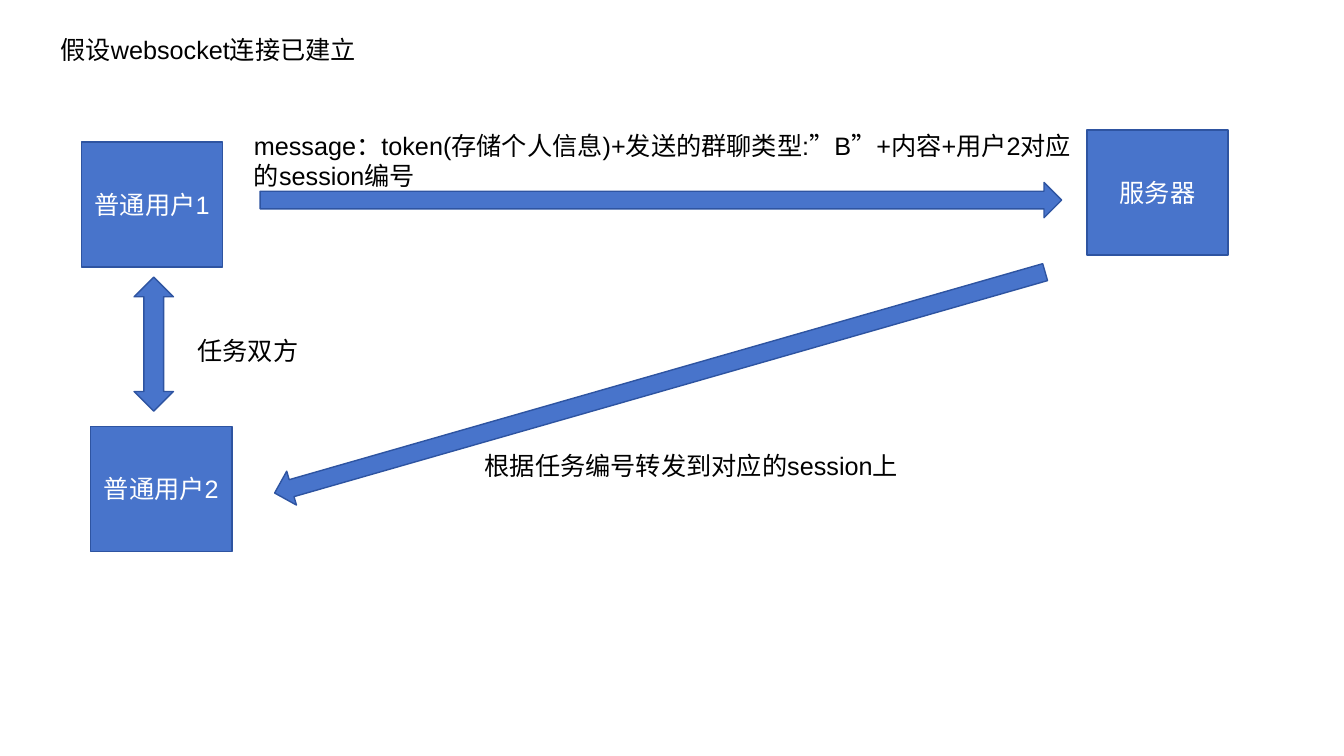
from pptx import Presentation
from pptx.dml.color import RGBColor
from pptx.enum.shapes import MSO_SHAPE
from pptx.enum.text import MSO_ANCHOR, MSO_AUTO_SIZE, PP_ALIGN
from pptx.util import Emu, Pt

RECTANGLE = MSO_SHAPE.RECTANGLE
RIGHT_ARROW = MSO_SHAPE.RIGHT_ARROW
UP_DOWN_ARROW = MSO_SHAPE.UP_DOWN_ARROW
TOP, MIDDLE = MSO_ANCHOR.TOP, MSO_ANCHOR.MIDDLE
LEFT, CENTER = PP_ALIGN.LEFT, PP_ALIGN.CENTER
NO_AUTOFIT = MSO_AUTO_SIZE.NONE

EMU_PER_PX = 9144
SLIDE_SIZE = (1333, 750)
FONT, FONT_SIZE = "Arial", 18
BLUE, DARK_BLUE, WHITE, BLACK = "4874CB", "2E54A1", "FFFFFF", "000000"

HEADING = ("假设websocket连接已建立", (50, 29, 444, 40))
NODE_SIZE = (140, 124)
NODES = [
    ("普通用户1", (81, 141)),
    ("普通用户2", (90, 423)),
    ("服务器", (1078, 129)),
]
MESSAGE_ARROW_SIZE = (795, 35)
ARROWS = [
    (RIGHT_ARROW, (258, 181), MESSAGE_ARROW_SIZE, 0),
    (UP_DOWN_ARROW, (133, 275), (39, 133), 0),
    (RIGHT_ARROW, (257, 362), MESSAGE_ARROW_SIZE, 164),
]
LABELS = [
    ("message：token(存储个人信息)+发送的群聊类型:”B”+内容+用户2对应的session编号",
     (242, 124, 846, 71)),
    ("任务双方", (186, 328, 134, 40)),
    ("根据任务编号转发到对应的session上", (471, 442, 463, 40)),
]


def px(length):
    """Turn a length in px into EMU."""
    return Emu(length * EMU_PER_PX)


def rgb(hex_color):
    """Turn a hex string into a colour."""
    return RGBColor.from_string(hex_color)


def write(shape, wording, color, align, anchor):
    """Write one formatted run into a shape."""
    frame = shape.text_frame
    frame.word_wrap = True
    frame.auto_size = NO_AUTOFIT
    frame.vertical_anchor = anchor
    paragraph = frame.paragraphs[0]
    paragraph.alignment = align
    run = paragraph.add_run()
    run.text = wording
    run.font.name = FONT
    run.font.size = Pt(FONT_SIZE)
    run.font.color.rgb = rgb(color)


def add_block(slide, preset, position, size, rotation=0):
    """Add a blue outlined shape."""
    block = slide.shapes.add_shape(preset, *map(px, position + size))
    block.rotation = rotation
    block.shadow.inherit = False
    block.fill.solid()
    block.fill.fore_color.rgb = rgb(BLUE)
    block.line.color.rgb = rgb(DARK_BLUE)
    block.line.width = Pt(1)
    return block


def main():
    """Build the message flow slide and save it."""
    deck = Presentation()
    deck.slide_width, deck.slide_height = map(px, SLIDE_SIZE)
    slide = deck.slides.add_slide(deck.slide_layouts.get_by_name("Title Only"))

    heading, bounds = HEADING
    title = slide.shapes.title
    title.left, title.top, title.width, title.height = map(px, bounds)
    write(title, heading, BLACK, LEFT, TOP)

    for name, position in NODES:
        node = add_block(slide, RECTANGLE, position, NODE_SIZE)
        write(node, name, WHITE, CENTER, MIDDLE)
    for arrow in ARROWS:
        add_block(slide, *arrow)
    for wording, bounds in LABELS:
        label = slide.shapes.add_textbox(*map(px, bounds))
        write(label, wording, BLACK, LEFT, TOP)

    deck.save("out.pptx")


if __name__ == "__main__":
    main()
